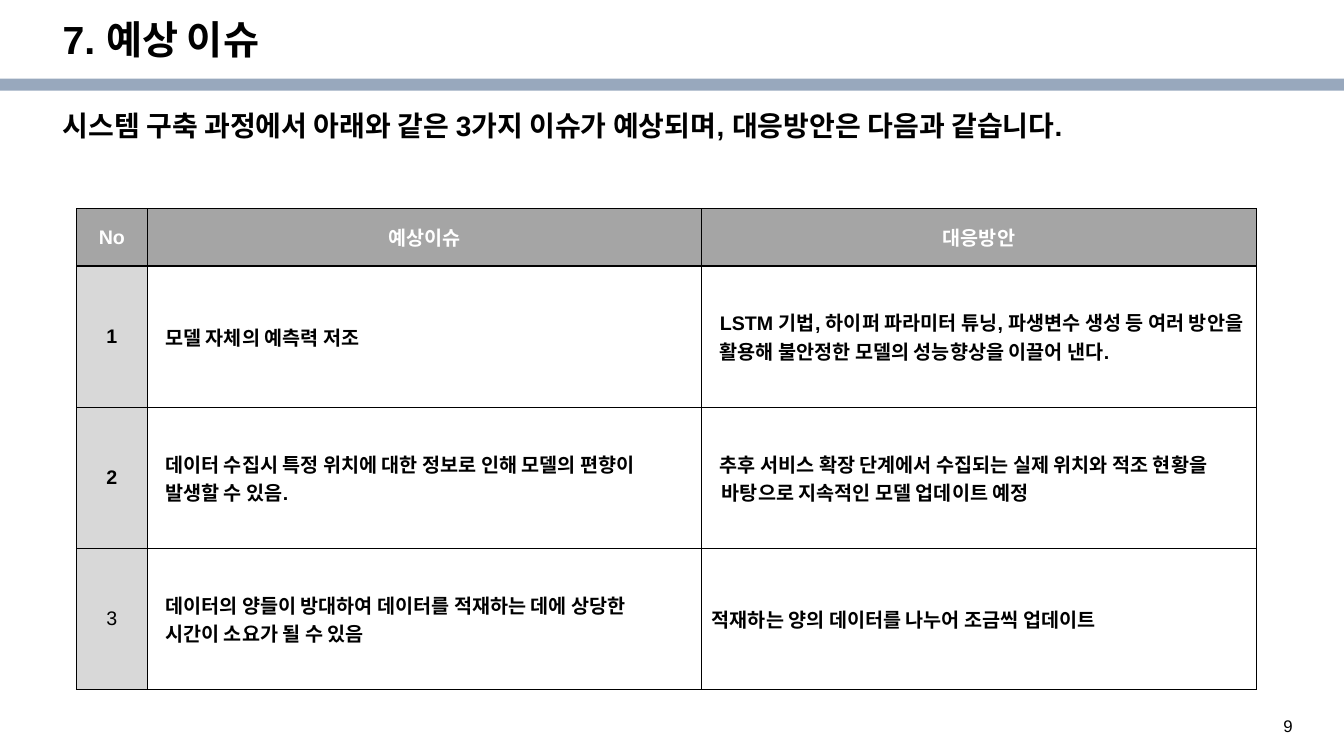
"""Build the slide on expected issues and their responses."""
import dataclasses
import typing

import lxml.etree
import pptx
import pptx.dml.color
import pptx.enum.shapes
import pptx.enum.text
import pptx.oxml.ns
import pptx.util

Inches = pptx.util.Inches
ALIGN = pptx.enum.text.PP_ALIGN
ANCHOR = pptx.enum.text.MSO_ANCHOR
HUES = {"ink": "000000", "white": "FFFFFF", "bar": "98A8BD", "head": "A5A5A5", "side": "D8D8D8"}
COLS = (0.7, 5.5, 5.5)
ROWS = (0.57, 1.4, 1.4, 1.4)


@dataclasses.dataclass
class Entry:
    """Text and look of one table cell."""
    text: str
    fill: str = ""
    hue: str = "ink"
    bold: bool = True
    left: float = 0.08
    hang: float = 0
    pad: tuple[float, float] = (0.1, 0.04)


def head(text: str) -> Entry:
    """Return a header cell."""
    return Entry(text, "head", "white", left=0, pad=(0.1, 0.05))


def side(text: str, bold: bool = True) -> Entry:
    """Return a number cell."""
    return Entry(text, "side", bold=bold, left=0, pad=(0.05, 0.05))


GRID = (
    (head("No"), head("예상이슈"), head("대응방안")),
    (side("1"), Entry("모델 자체의 예측력 저조"),
     Entry("LSTM 기법, 하이퍼 파라미터 튜닝, 파생변수 생성 등 여러 방안을 활용해 "
           "불안정한 모델의 성능향상을 이끌어 낸다.")),
    (side("2"), Entry("데이터 수집시 특정 위치에 대한 정보로 인해 모델의 편향이 발생할 수 있음."),
     Entry("추후 서비스 확장 단계에서 수집되는 실제 위치와 적조 현황을 바탕으로 "
           "지속적인 모델 업데이트 예정", left=0.1, hang=-0.02)),
    (side("3", False),
     Entry("데이터의 양들이 방대하여 데이터를 적재하는 데에 상당한\n시간이 소요가 될 수 있음",
           left=0.1, hang=-0.02),
     Entry("적재하는 양의 데이터를 나누어 조금씩 업데이트", left=0)),
)


def tint(name: str) -> pptx.dml.color.RGBColor:
    """Look up a colour."""
    return pptx.dml.color.RGBColor.from_string(HUES[name])


def style(para: typing.Any, size: float, bold: bool, hue: str = "ink") -> None:
    """Set the font of a paragraph."""
    font = para.font
    font.name, font.size, font.bold = "Arial", pptx.util.Pt(size), bold
    font.color.rgb = tint(hue)


def indent(para: typing.Any, left: float, hang: float) -> None:
    """Set the margin and first-line indent of a paragraph."""
    props = para._p.get_or_add_pPr()
    props.set("marL", str(Inches(left)))
    props.set("indent", str(Inches(hang)))


def place(shape: typing.Any, box: tuple[float, float, float, float]) -> None:
    """Move and size a shape."""
    shape.left, shape.top, shape.width, shape.height = map(Inches, box)


def write(shape: typing.Any, text: str, size: float, anchor: typing.Any) -> None:
    """Fill a placeholder with one bold line."""
    frame = shape.text_frame
    frame.text = text
    frame.word_wrap = True
    frame.auto_size = pptx.enum.text.MSO_AUTO_SIZE.NONE
    frame.vertical_anchor = anchor
    para = frame.paragraphs[0]
    para.alignment, para.line_spacing = ALIGN.LEFT, 0.9
    para.space_before = pptx.util.Pt(0)
    style(para, size, True)
    indent(para, 0, 0)
    lxml.etree.SubElement(para._p.pPr, pptx.oxml.ns.qn("a:buNone"))


def edge(cell: typing.Any) -> None:
    """Draw thin borders around a cell."""
    qn = pptx.oxml.ns.qn
    props = cell._tc.get_or_add_tcPr()
    for spot, name in enumerate(("lnL", "lnR", "lnT", "lnB")):
        line = lxml.etree.Element(qn(f"a:{name}"), w=str(pptx.util.Pt(1)))
        fill = lxml.etree.SubElement(line, qn("a:solidFill"))
        lxml.etree.SubElement(fill, qn("a:srgbClr"), val=HUES["ink"])
        props.insert(spot, line)


def draw(cell: typing.Any, entry: Entry) -> None:
    """Fill and format a table cell."""
    cell.text = entry.text
    cell.vertical_anchor = ANCHOR.MIDDLE
    wide, high = map(Inches, entry.pad)
    cell.margin_left = cell.margin_right = wide
    cell.margin_top = cell.margin_bottom = high
    for para in cell.text_frame.paragraphs:
        style(para, 14, entry.bold, entry.hue)
        indent(para, entry.left, entry.hang)
        para.alignment = ALIGN.CENTER if entry.fill else ALIGN.LEFT
    if entry.fill:
        cell.fill.solid()
        cell.fill.fore_color.rgb = tint(entry.fill)
    else:
        cell.fill.background()
    edge(cell)


def main() -> None:
    """Build and save the slide."""
    deck = pptx.Presentation()
    deck.slide_width, deck.slide_height = Inches(13.33), Inches(7.5)
    slide = deck.slides.add_slide(deck.slide_layouts[1])
    shapes = slide.shapes

    bar = shapes.add_shape(pptx.enum.shapes.MSO_SHAPE.RECTANGLE,
                           *map(Inches, (0, 0.78, 13.33, 0.12)))
    bar.shadow.inherit = False
    bar.fill.solid()
    bar.fill.fore_color.rgb = tint("bar")
    bar.line.fill.background()

    title, body = shapes.title, slide.placeholders[1]
    place(title, (0.52, 0.15, 11.5, 0.53))
    write(title, "7. 예상 이슈", 28, ANCHOR.MIDDLE)
    place(body, (0.52, 1.06, 12.01, 0.71))
    write(body, "시스템 구축 과정에서 아래와 같은 3가지 이슈가 예상되며, 대응방안은 다음과 같습니다.",
          20, ANCHOR.TOP)

    table = shapes.add_table(len(ROWS), len(COLS), Inches(0.76), Inches(2.07),
                             Inches(sum(COLS)), Inches(sum(ROWS))).table
    table.first_row = table.horz_banding = False
    for col, width in zip(table.columns, COLS):
        col.width = Inches(width)
    for row, height, line in zip(table.rows, ROWS, GRID):
        row.height = Inches(height)
        for cell, entry in zip(row.cells, line):
            draw(cell, entry)

    page = shapes.add_textbox(*map(Inches, (12.63, 7.05, 0.52, 0.27))).text_frame
    page.word_wrap = True
    page.text = "9"
    style(page.paragraphs[0], 12, False)
    deck.save("out.pptx")


if __name__ == "__main__":
    main()
